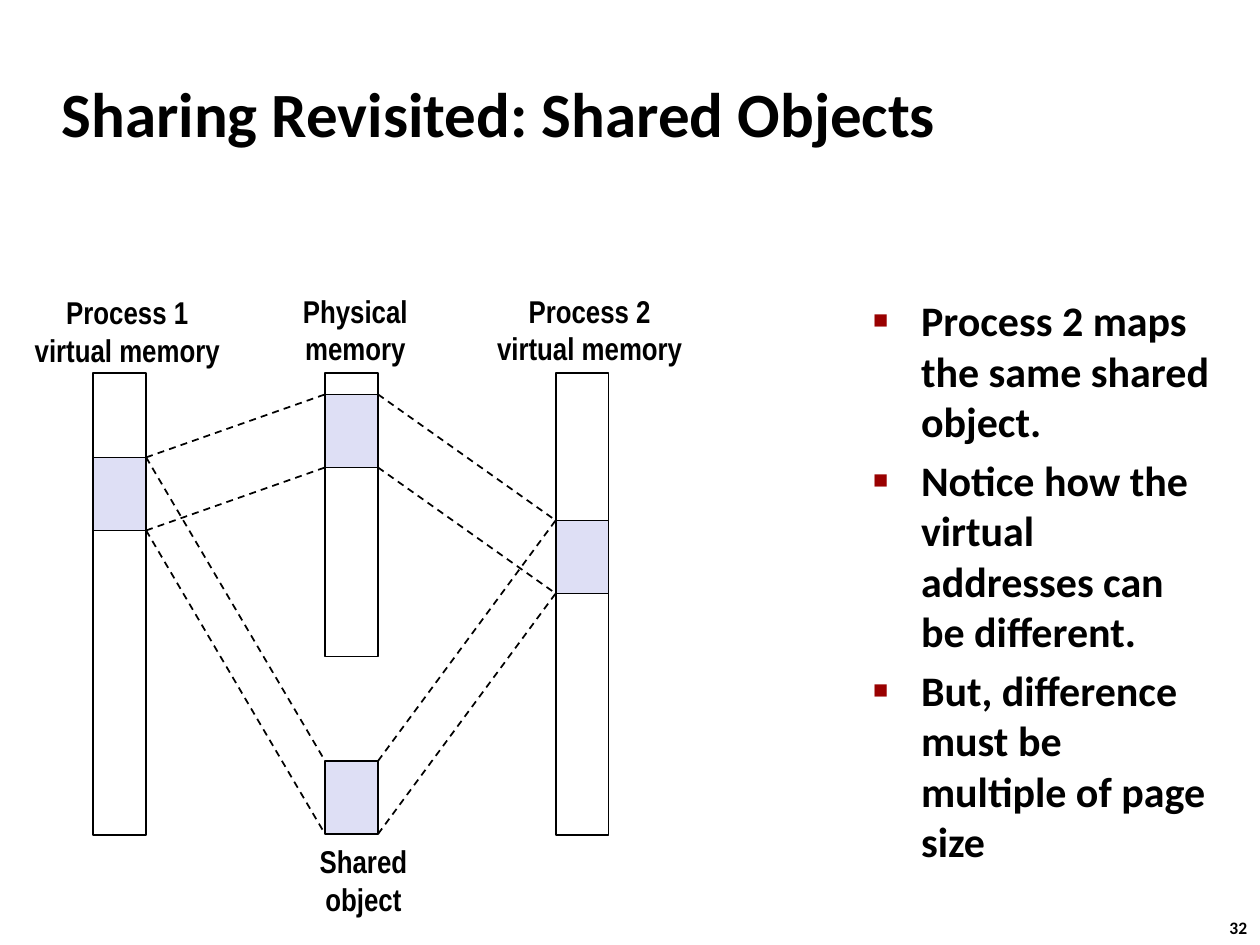
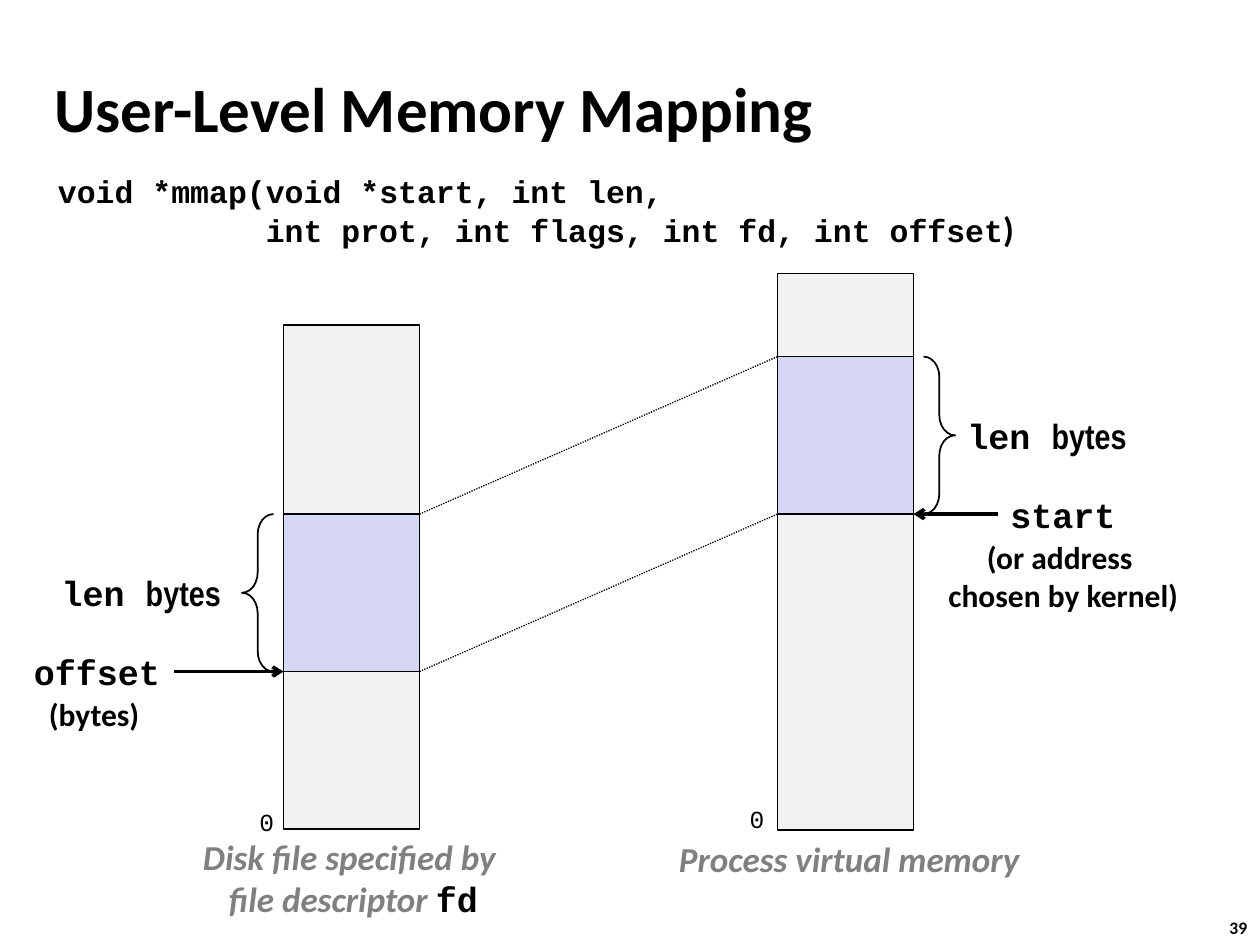
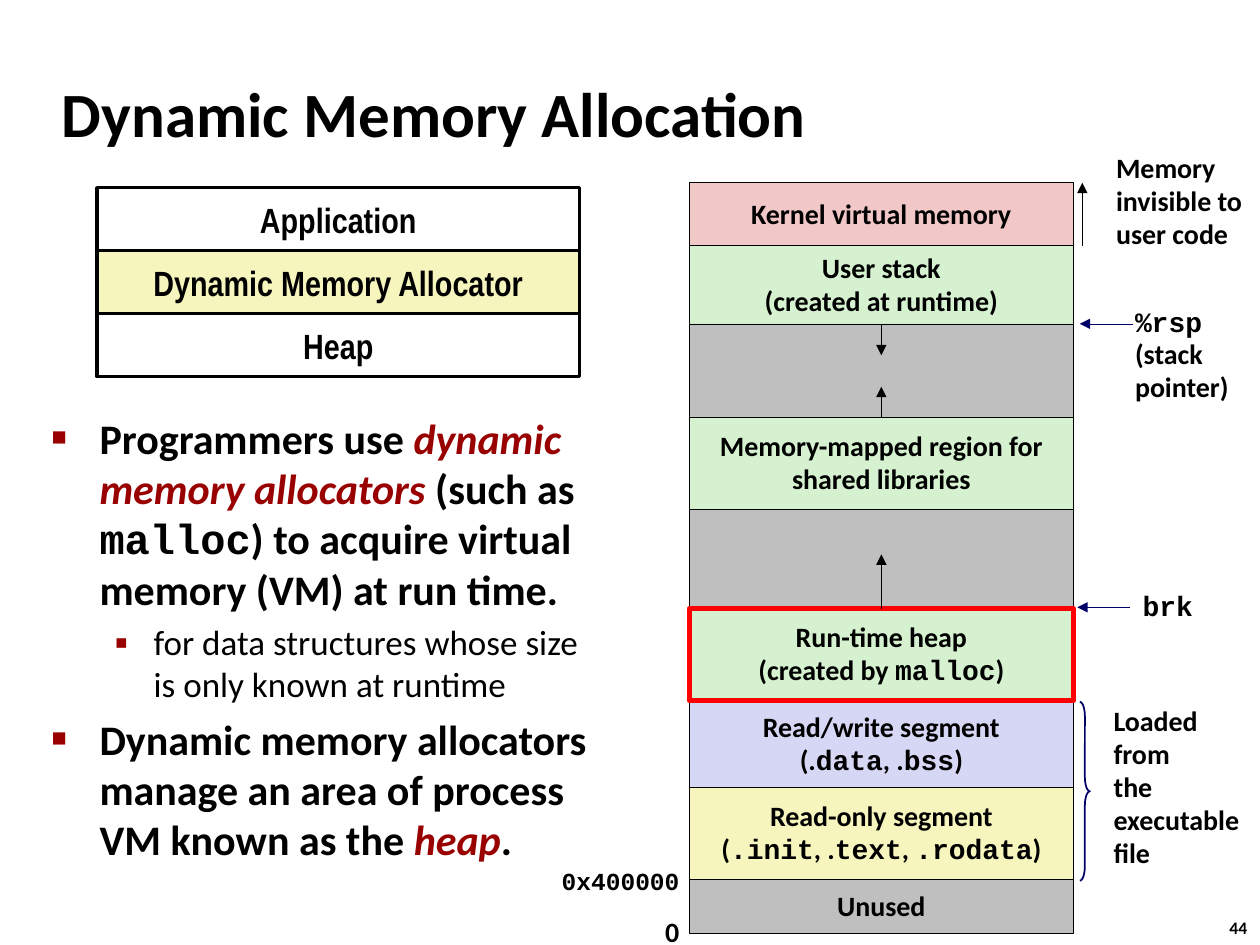
from dataclasses import dataclass, replace
from itertools import accumulate
from typing import Optional

from lxml import etree
from pptx import Presentation
from pptx.dml.color import RGBColor
from pptx.enum.dml import MSO_LINE_DASH_STYLE as Dash
from pptx.enum.shapes import MSO_CONNECTOR as Connector, MSO_SHAPE as Shape
from pptx.enum.text import MSO_ANCHOR as Anchor, MSO_AUTO_SIZE as AutoSize, PP_ALIGN as Align
from pptx.oxml.ns import qn
from pptx.util import Inches, Pt

BLACK, WHITE, RED, NAVY = "000000", "FFFFFF", "FF0000", "000066"
ACCENT, CAPTION = "990000", "808080"
LAVENDER, BLUE, YELLOW, GREEN, PINK = "DEDFF5", "D6D6F5", "F6F5BD", "D5F1CF", "F1C7C7"
PALE, GREY = "F2F2F2", "BFBFBF"
SANS, NARROW, MONO = "Calibri", "Arial Narrow", "Courier New"
TOP, BOTTOM = 0, 2


@dataclass(frozen=True)
class Style:
    font: str = SANS
    size: float = 18
    color: str = BLACK
    bold: bool = True
    italic: bool = False


@dataclass(frozen=True)
class Span:
    text: str
    style: Style


@dataclass(frozen=True)
class Box:
    left: float
    top: float
    width: float
    height: float

    @property
    def right(self) -> float:
        return self.left + self.width

    @property
    def bottom(self) -> float:
        return self.top + self.height

    def lengths(self) -> list:
        return [Inches(v) for v in (self.left, self.top, self.width, self.height)]


@dataclass(frozen=True)
class Bullet:
    char: str
    percent: int
    margin: float
    hang: float


@dataclass(frozen=True)
class Region:
    name: str
    height: float
    fill: str
    lines: tuple = ()
    line_color: str = BLACK
    line_width: float = 0.25


@dataclass(frozen=True)
class Label:
    box: Box
    lines: tuple
    align: Align = Align.LEFT
    anchor: Anchor = Anchor.TOP
    spacing: Optional[float] = None


HEADING = Style(size=36)
LABEL = Style(NARROW)
NOTE = Style()
CODE = Style(MONO)
BIG_CODE = Style(MONO, 20)
BIG_NARROW = Style(NARROW, 20)
LEGEND = Style(size=20, color=CAPTION, italic=True)
ZERO = Style(MONO, 14, bold=False)
SMALL = Style(size=16)
SMALL_CODE = Style(MONO, 16)
POINT = Style(size=24)
STRESS = replace(POINT, color=ACCENT, italic=True)
DETAIL = Style(size=20, bold=False)
SQUARE = Bullet("■", 60, 0.38, -0.38)
SMALL_SQUARE = Bullet("▪", 110, 0.81, -0.31)
TITLE_BOX = Box(0.39, 0.48, 8.3, 0.83)


def rgb(value: str) -> RGBColor:
    return RGBColor.from_string(value)


def lines_of(style: Style, *texts: str) -> tuple:
    return tuple((Span(text, style),) for text in texts)


def write(frame, lines, align=Align.LEFT, anchor=Anchor.TOP, spacing=None, wrap=False,
          grow=False) -> list:
    frame.auto_size = AutoSize.SHAPE_TO_FIT_TEXT if grow else AutoSize.NONE
    frame.word_wrap = wrap
    frame.vertical_anchor = anchor
    paras = []
    for index, spans in enumerate(lines):
        para = frame.add_paragraph() if index else frame.paragraphs[0]
        para.alignment = align
        if spacing:
            para.line_spacing = spacing
        for span in spans:
            run = para.add_run()
            run.text = span.text
            run.font.name = span.style.font
            run.font.size = Pt(span.style.size)
            run.font.bold = span.style.bold
            run.font.italic = span.style.italic
            run.font.color.rgb = rgb(span.style.color)
        paras.append(para)
    return paras


def set_indent(para, margin: float, hang: float = 0):
    props = para._p.get_or_add_pPr()
    props.set("marL", str(Inches(margin)))
    props.set("indent", str(Inches(hang)))
    return props


def set_bullet(para, bullet: Bullet) -> None:
    props = set_indent(para, bullet.margin, bullet.hang)
    color = etree.SubElement(props, qn("a:buClr"))
    etree.SubElement(color, qn("a:srgbClr"), val=ACCENT)
    etree.SubElement(props, qn("a:buSzPct"), val=str(bullet.percent * 1000))
    etree.SubElement(props, qn("a:buFont"), typeface="Arial")
    etree.SubElement(props, qn("a:buChar"), char=bullet.char)


def place(shape, box: Box) -> None:
    shape.left, shape.top, shape.width, shape.height = box.lengths()


def add_label(page, label: Label) -> None:
    box = page.shapes.add_textbox(*label.box.lengths())
    write(box.text_frame, label.lines, label.align, label.anchor, label.spacing, grow=True)


def add_page(deck, layout: int, title: str, number: int, title_box: Box = TITLE_BOX):
    page = deck.slides.add_slide(deck.slide_layouts[layout])
    place(page.shapes.title, title_box)
    paras = write(page.shapes.title.text_frame, lines_of(HEADING, title),
                  anchor=Anchor.MIDDLE, wrap=True)
    set_indent(paras[0], 0.13, -0.13)
    add_label(page, Label(Box(9.66, 7.23, 0.37, 0.27),
                          lines_of(Style(size=10), str(number))))
    return page


def fill_body(page, box: Box, lines, spacing=None) -> list:
    body = page.placeholders[1]
    place(body, box)
    return write(body.text_frame, lines, spacing=spacing, wrap=True)


def add_rect(page, box: Box, fill: Optional[str] = None, lines=(), line_color=BLACK,
             line_width: float = 1, spacing=None, kind=Shape.RECTANGLE):
    shape = page.shapes.add_shape(kind, *box.lengths())
    shape.shadow.inherit = False
    if fill:
        shape.fill.solid()
        shape.fill.fore_color.rgb = rgb(fill)
    else:
        shape.fill.background()
    shape.line.color.rgb = rgb(line_color)
    shape.line.width = Pt(line_width)
    if lines:
        write(shape.text_frame, lines, Align.CENTER, Anchor.MIDDLE, spacing)
    return shape


def add_brace(page, box: Box, kind, depth: float, color: str = BLACK) -> None:
    brace = add_rect(page, box, line_color=color, kind=kind)
    brace.adjustments[0] = depth


def add_line(page, start, end, width: float, color: str = BLACK, dash=None, head=None):
    line = page.shapes.add_connector(Connector.STRAIGHT,
                                     *(Inches(v) for v in (*start, *end)))
    line.line.color.rgb = rgb(color)
    line.line.width = Pt(width)
    if dash:
        line.line.dash_style = dash
    props = line.element.spPr
    if head:
        etree.SubElement(props.find(qn("a:ln")), qn("a:tailEnd"), type=head)
    etree.SubElement(props, qn("a:effectLst"))
    return line


def link(page, left: Box, right: Box, width: float, dash) -> None:
    add_line(page, (left.right, left.top), (right.left, right.top), width, dash=dash)
    add_line(page, (left.right, left.bottom), (right.left, right.bottom), width, dash=dash)


def build_sharing(deck) -> None:
    page = add_page(deck, 1, "Sharing Revisited: Shared Objects", 32)
    left, middle, right = 0.74, 2.58, 4.41
    width, part = 0.42, 0.58
    for column, height in ((left, 3.67), (middle, 2.25), (right, 3.67)):
        add_rect(page, Box(column, 2.96, width, height))
    first, physical, second, shared = parts = [
        Box(column, top, width, part)
        for column, top in ((left, 3.63), (middle, 3.13), (right, 4.13), (middle, 6.04))]
    for box in parts:
        add_rect(page, box, LAVENDER)
    for start, end in ((first, physical), (first, shared),
                       (physical, second), (shared, second)):
        link(page, start, end, 1, Dash.DASH)
    for box, texts in (
            (Box(0.1, 2.27, 1.82, 0.71), ("Process 1", "virtual memory")),
            (Box(2.28, 2.26, 1.08, 0.71), ("Physical", "memory")),
            (Box(3.77, 2.26, 1.82, 0.71), ("Process 2", "virtual memory")),
            (Box(2.42, 6.63, 0.93, 0.71), ("Shared", "object"))):
        add_label(page, Label(box, lines_of(LABEL, *texts), Align.CENTER, Anchor.MIDDLE))
    points = lines_of(POINT, "Process 2 maps the same shared object.",
                      "Notice how the virtual addresses can be different.",
                      "But, difference must be multiple of page size")
    for para in fill_body(page, Box(6.83, 2.29, 2.9, 5.04), points):
        set_bullet(para, SQUARE)


def build_mapping(deck) -> None:
    page = add_page(deck, 1, "User-Level Memory Mapping", 39, Box(0.33, 0.54, 7.94, 0.63))
    signature = (
        (Span("void *mmap(void *start, int len,", CODE),),
        (Span("int prot, int flags, int fd, int offset", CODE), Span(")", Style(size=20))))
    paras = fill_body(page, Box(0.36, 1.34, 9.09, 0.91), signature, 0.94)
    for para, margin in zip(paras, (0, 1.65)):
        para.space_before = Pt(0)
        props = set_indent(para, margin)
        etree.SubElement(props, qn("a:buNone"))

    width, mapped = 1.08, 1.25
    file_part = Box(2.25, 4.08, width, mapped)
    memory_part = Box(6.17, 2.83, width, mapped)
    for whole, section in ((Box(2.25, 2.58, width, 4), file_part),
                           (Box(6.17, 2.17, width, 4.42), memory_part)):
        add_rect(page, whole, PALE)
        add_rect(page, section, BLUE)
    link(page, file_part, memory_part, 0.75, Dash.ROUND_DOT)
    add_brace(page, Box(1.92, file_part.top, 0.25, mapped), Shape.LEFT_BRACE, 0.64)
    add_brace(page, Box(7.33, memory_part.top, 0.25, mapped), Shape.RIGHT_BRACE, 0.64)
    for start, end in (((1.38, 5.33), (file_part.left, file_part.bottom)),
                       ((7.92, 4.08), (memory_part.right, memory_part.bottom))):
        add_line(page, start, end, 2, head="arrow")

    length = ((Span("len ", BIG_CODE), Span("bytes", BIG_NARROW)),)
    legend = ((Span("Disk file specified by ", LEGEND),),
              (Span("file descriptor ", LEGEND), Span("fd", BIG_CODE)))
    for label in (
            Label(Box(7.58, 3.24, 1.51, 0.44), length),
            Label(Box(0.39, 4.49, 1.51, 0.44), length),
            Label(Box(7.92, 3.87, 1.04, 0.44), lines_of(BIG_CODE, "start")),
            Label(Box(7.42, 4.22, 2.04, 0.71),
                  lines_of(NOTE, "(or address ", "chosen by kernel)"), Align.CENTER),
            Label(Box(0.17, 5.11, 1.21, 0.44), lines_of(BIG_CODE, "offset")),
            Label(Box(0.29, 5.47, 0.92, 0.4), lines_of(NOTE, "(bytes)")),
            Label(Box(5.29, 6.6, 2.92, 0.44), lines_of(LEGEND, "Process virtual memory")),
            Label(Box(1.5, 6.58, 2.61, 0.77), legend, Align.CENTER),
            Label(Box(1.96, 6.36, 0.32, 0.34), lines_of(ZERO, "0")),
            Label(Box(5.85, 6.33, 0.32, 0.34), lines_of(ZERO, "0"))):
        add_label(page, label)


def build_address_space(page) -> None:
    heap_lines = (*lines_of(SMALL, "Run-time heap"),
                  (Span("(created by ", SMALL), Span("malloc", SMALL_CODE), Span(")", SMALL)))
    data_lines = (*lines_of(SMALL, "Read/write segment"),
                  (Span("(.", SMALL), Span("data", SMALL_CODE), Span(", .", SMALL),
                   Span("bss", SMALL_CODE), Span(")", SMALL)))
    code_lines = (*lines_of(SMALL, "Read-only segment"),
                  (Span("(", SMALL), Span(".init", SMALL_CODE), Span(", .", SMALL),
                   Span("text", SMALL_CODE), Span(", ", SMALL),
                   Span(".rodata", SMALL_CODE), Span(")", SMALL)))
    regions = (
        Region("kernel", 0.5, PINK, lines_of(SMALL, "Kernel virtual memory")),
        Region("stack", 0.62, GREEN, lines_of(SMALL, "User stack", "(created at runtime)")),
        Region("upper gap", 0.74, GREY),
        Region("libraries", 0.73, GREEN,
               lines_of(SMALL, "Memory-mapped region for", "shared libraries")),
        Region("lower gap", 0.79, GREY),
        Region("heap", 0.73, GREEN, heap_lines, RED, 3),
        Region("data", 0.69, BLUE, data_lines),
        Region("code", 0.73, YELLOW, code_lines),
        Region("unused", 0.43, GREY, lines_of(SMALL, "Unused")))
    tops = accumulate((region.height for region in regions), initial=1.45)
    shapes = {}
    for region, top in sorted(zip(regions, tops), key=lambda pair: pair[0].line_width):
        shapes[region.name] = add_rect(
            page, Box(5.47, top, 3.05, region.height), region.fill, region.lines,
            region.line_color, region.line_width, 0.98)

    for name, side, start, end in (("stack", BOTTOM, 2.57, 2.82),
                                   ("libraries", TOP, 3.31, 3.07),
                                   ("heap", TOP, 4.83, 4.4)):
        arrow = add_line(page, (7, start), (7, end), 0.25, head="triangle")
        arrow.begin_connect(shapes[name], side)
        arrow.end_x = arrow.begin_x
    for start, end, color in (((8.59, 1.95), (8.59, 1.45), BLACK),
                              ((8.99, 2.57), (8.57, 2.57), NAVY),
                              ((8.97, 4.82), (8.55, 4.82), NAVY)):
        add_line(page, start, end, 0.25, color, head="triangle")
    add_brace(page, Box(8.57, 5.57, 0.08, 1.42), Shape.RIGHT_BRACE, 1.42, NAVY)

    pointer = (*lines_of(SMALL_CODE, "%rsp"), *lines_of(SMALL, "(stack", "pointer)"))
    for box, lines, spacing in (
            (Box(8.76, 1.16, 1.26, 0.89),
             lines_of(SMALL, "Memory", "invisible to", "user code"), 0.98),
            (Box(8.91, 2.38, 0.95, 0.88), pointer, 0.97),
            (Box(8.97, 4.64, 0.6, 0.36), lines_of(SMALL_CODE, "brk"), 0.94),
            (Box(8.74, 5.55, 1.26, 1.42),
             lines_of(SMALL, "Loaded", "from", "the", "executable", "file"), 0.98),
            (Box(4.36, 6.84, 1.14, 0.33), lines_of(Style(MONO, 14), "0x400000"), 0.94),
            (Box(5.18, 7.22, 0.31, 0.37), lines_of(SMALL, "0"), 0.98)):
        add_label(page, Label(box, lines, spacing=spacing))


def build_allocation(deck) -> None:
    page = add_page(deck, 1, "Dynamic Memory Allocation", 44)
    layers = (("Application", WHITE), ("Dynamic Memory Allocator", YELLOW), ("Heap", WHITE))
    for row, (name, fill) in enumerate(layers):
        add_rect(page, Box(0.77, 1.49 + row * 0.5, 3.83, 0.5), fill,
                 lines_of(BIG_NARROW, name), line_width=2)
    points = (
        (Span("Programmers use ", POINT), Span("dynamic memory allocators ", STRESS),
         Span("(such as ", POINT), Span("malloc", replace(POINT, font=MONO)),
         Span(") to acquire virtual memory (VM) at run time.", POINT)),
        (Span("for data structures whose size is only known at runtime", DETAIL),),
        (Span("Dynamic memory allocators manage an area of process VM known as the ", POINT),
         Span("heap", STRESS), Span(".", POINT)))
    paras = fill_body(page, Box(0.31, 3.22, 4.48, 4.17), points)
    paras[1].level = 1
    for para, bullet in zip(paras, (SQUARE, SMALL_SQUARE, SQUARE)):
        set_bullet(para, bullet)
    build_address_space(page)


def main() -> None:
    deck = Presentation()
    deck.slide_width, deck.slide_height = Inches(10), Inches(7.5)
    build_sharing(deck)
    build_mapping(deck)
    build_allocation(deck)
    deck.save("out.pptx")


if __name__ == "__main__":
    main()
